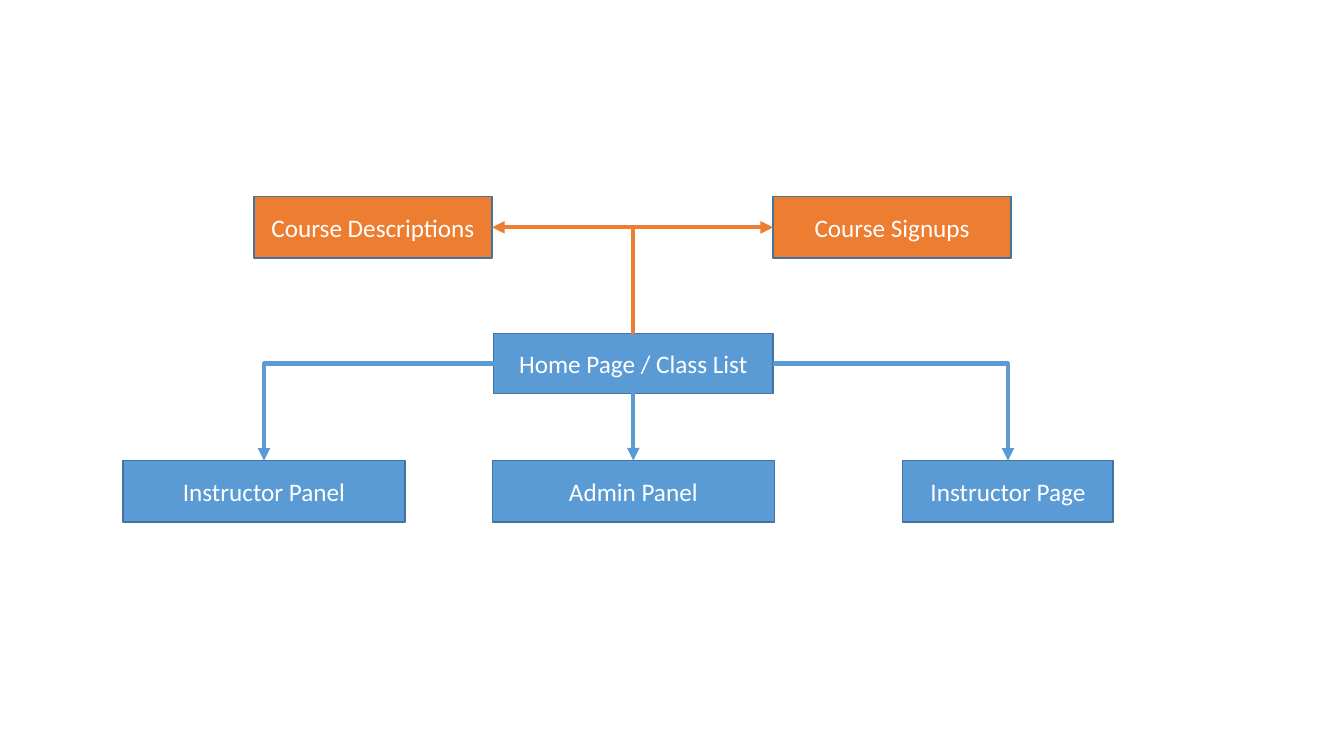
"""Draw a site map of a course signup system."""
from dataclasses import dataclass

from lxml import etree
from pptx import Presentation
from pptx import util as u
from pptx.dml.color import RGBColor
from pptx.enum import shapes, text
from pptx.oxml.ns import qn

BLUE, ORANGE, EDGE, WHITE = "5B9BD5", "ED7D31", "43739E", "FFFFFF"
TOP, LEFT, BOTTOM, RIGHT = range(4)
PAGES, HOME, PANELS = 140.4, 238.4, 329


@dataclass
class Box:
    label: str
    mid: float
    top: float
    width: float
    height: float = 44
    fill: str = BLUE


@dataclass
class Link:
    start: str
    exit: int
    end: str
    entry: int
    color: str = BLUE
    tip: str = "tailEnd"
    bent: bool = True


BOXES = [
    Box("Home Page / Class List", 452.4, HOME, 199.4, 42.5),
    Box("Instructor Page", 720, PANELS, 150.4),
    Box("Instructor Panel", 188.6, PANELS, 201.6),
    Box("Admin Panel", 452.4, PANELS, 201.6),
    Box("Course Descriptions", 266.4, PAGES, 170, fill=ORANGE),
    Box("Course Signups", 637.2, PAGES, 170, fill=ORANGE),
]
ROOT = BOXES[0].label
LINKS = [
    Link(ROOT, RIGHT, "Instructor Page", TOP),
    Link(ROOT, LEFT, "Instructor Panel", TOP),
    Link(ROOT, BOTTOM, "Admin Panel", TOP, bent=False),
    Link("Course Descriptions", RIGHT, ROOT, TOP, ORANGE, "headEnd"),
    Link("Course Signups", LEFT, ROOT, TOP, ORANGE, "headEnd"),
]


def paint(target, color: str) -> None:
    """Give a colour format a hex colour."""
    target.rgb = RGBColor.from_string(color)


def draw_box(slide, box: Box):
    """Draw one labelled page box."""
    shape = slide.shapes.add_shape(
        shapes.MSO_SHAPE.RECTANGLE, u.Pt(box.mid - box.width / 2),
        u.Pt(box.top), u.Pt(box.width), u.Pt(box.height))
    shape.shadow.inherit = False
    shape.fill.solid()
    paint(shape.fill.fore_color, box.fill)
    shape.line.width = u.Pt(1)
    paint(shape.line.color, EDGE)
    frame = shape.text_frame
    frame.word_wrap = True
    frame.vertical_anchor = text.MSO_ANCHOR.MIDDLE
    para = frame.paragraphs[0]
    para.alignment = text.PP_ALIGN.CENTER
    run = para.add_run()
    run.text = box.label
    run.font.name = "Calibri"
    run.font.size = u.Pt(18)
    paint(run.font.color, WHITE)
    return shape


def draw_link(slide, link: Link, nodes: dict) -> None:
    """Join two boxes with an arrow."""
    kind = shapes.MSO_CONNECTOR
    line = slide.shapes.add_connector(
        kind.ELBOW if link.bent else kind.STRAIGHT, 0, 0, 0, 0)
    line.begin_connect(nodes[link.start], link.exit)
    line.end_connect(nodes[link.end], link.entry)
    line.line.width = u.Pt(3)
    paint(line.line.color, link.color)
    props = line.element.spPr
    if link.bent:
        props.find(qn("a:prstGeom")).set("prst", "bentConnector2")
    etree.SubElement(props.find(qn("a:ln")), qn("a:" + link.tip), type="triangle")
    etree.SubElement(props, qn("a:effectLst"))


def main() -> None:
    """Build and save the slide."""
    deck = Presentation()
    deck.slide_width, deck.slide_height = u.Pt(960), u.Pt(540)
    slide = deck.slides.add_slide(deck.slide_layouts[6])
    nodes = {box.label: draw_box(slide, box) for box in BOXES}
    for link in LINKS:
        draw_link(slide, link, nodes)
    deck.save("out.pptx")


main()
